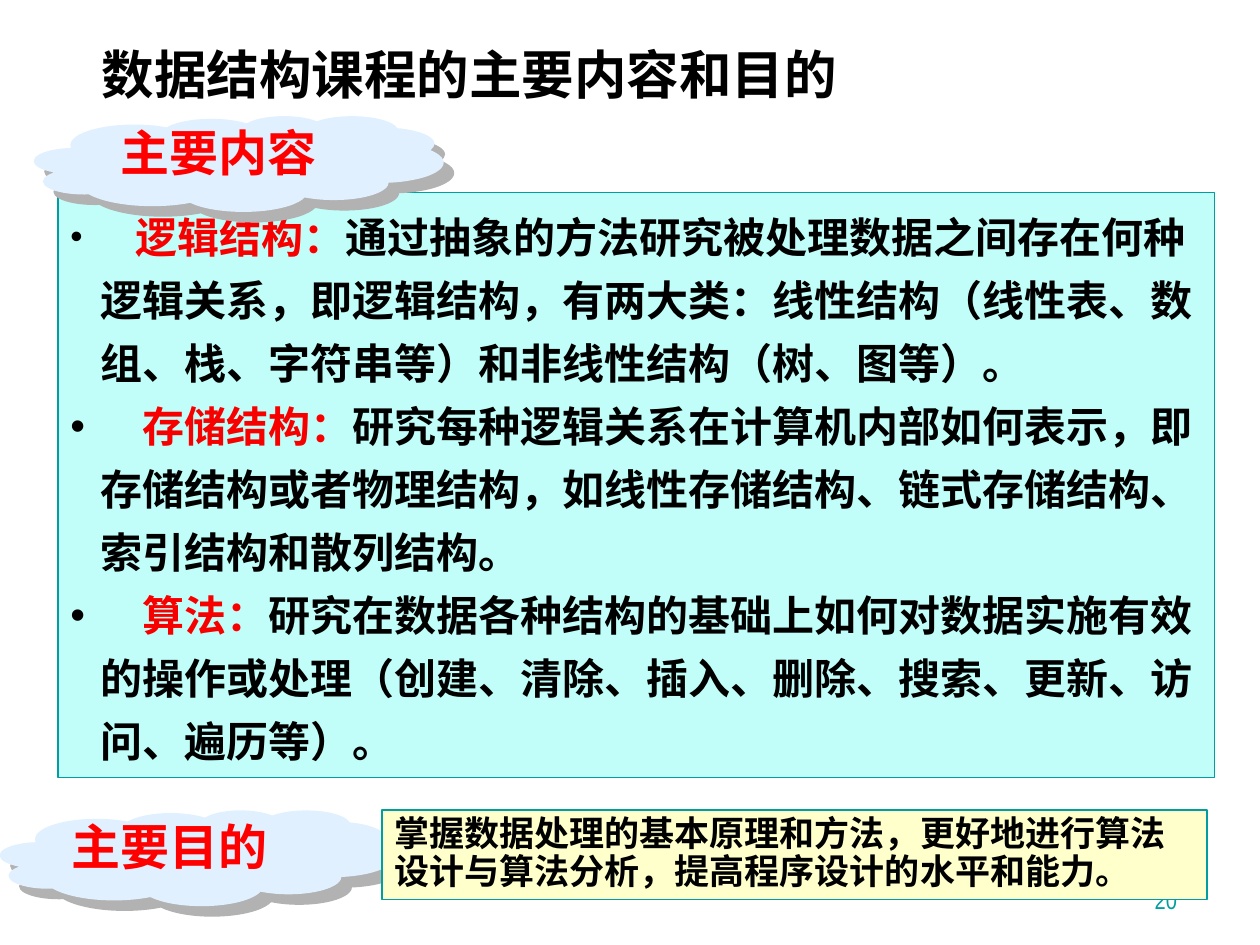
from dataclasses import dataclass

from lxml.etree import SubElement
from pptx import Presentation
from pptx.dml.color import RGBColor
from pptx.enum.shapes import MSO_SHAPE
from pptx.enum.text import MSO_ANCHOR, PP_ALIGN
from pptx.oxml.ns import qn
from pptx.util import Inches, Pt

CJK = "Noto Sans CJK SC"
TEAL, RED, BLACK = "009EA1", "F60000", "000000"


@dataclass
class Box:
    left: float
    top: float
    width: float
    height: float

    def lengths(self):
        return [Inches(v) for v in (self.left, self.top, self.width, self.height)]


@dataclass
class Style:
    size: float
    color: str = BLACK
    font: str = "Arial"
    bold: bool = True


@dataclass
class Label:
    text: str
    cloud: Box
    box: Box


@dataclass
class Topic:
    name: str
    detail: str
    indent_size: float = 24


LABELS = [
    Label("主要内容", Box(0.27, 0.92, 3.25, 0.76), Box(0.86, 0.92, 2.44, 0.57)),
    Label("主要目的", Box(0, 6.43, 3.13, 0.76), Box(0.47, 6.43, 2.44, 0.57)),
]
TOPICS = [
    Topic("逻辑结构：", "通过抽象的方法研究被处理数据之间存在何种逻辑关系，即逻辑结构，"
          "有两大类：线性结构（线性表、数组、栈、字符串等）和非线性结构（树、图等）。", 20),
    Topic("存储结构：", "研究每种逻辑关系在计算机内部如何表示，即存储结构或者物理结构，"
          "如线性存储结构、链式存储结构、索引结构和散列结构。"),
    Topic("算法：", "研究在数据各种结构的基础上如何对数据实施有效的操作或处理"
          "（创建、清除、插入、删除、搜索、更新、访问、遍历等）。"),
]


def rgb(value: str) -> RGBColor:
    return RGBColor.from_string(value)


def add_run(p, text: str, style: Style) -> None:
    r = p.add_run()
    r.text = text
    r.font.size = Pt(style.size)
    r.font.bold = style.bold
    r.font.name = style.font
    r.font.color.rgb = rgb(style.color)
    SubElement(r._r.get_or_add_rPr(), qn("a:ea"), typeface=CJK)


def add_text(s, box: Box, text: str, style: Style, anchor=MSO_ANCHOR.TOP,
             align=PP_ALIGN.LEFT, spacing: float = 1.0) -> None:
    tf = s.shapes.add_textbox(*box.lengths()).text_frame
    tf.word_wrap = True
    tf.vertical_anchor = anchor
    p = tf.paragraphs[0]
    p.alignment = align
    p.line_spacing = spacing
    add_run(p, text, style)


def add_panel(s, box: Box, fill: str, line_width: float):
    sp = s.shapes.add_shape(MSO_SHAPE.RECTANGLE, *box.lengths())
    sp.shadow.inherit = False
    sp.fill.solid()
    sp.fill.fore_color.rgb = rgb(fill)
    sp.line.color.rgb = rgb(TEAL)
    sp.line.width = Pt(line_width)
    tf = sp.text_frame
    tf.word_wrap = True
    tf.vertical_anchor = MSO_ANCHOR.TOP
    return tf


def add_label(s, label: Label) -> None:
    sp = s.shapes.add_shape(MSO_SHAPE.CLOUD, *label.cloud.lengths())
    sp.fill.solid()
    sp.fill.fore_color.rgb = rgb("E1F0FF")
    sp.line.fill.background()
    sp.shadow.inherit = False
    effects = sp._element.spPr.find(qn("a:effectLst"))
    shadow = SubElement(effects, qn("a:outerShdw"), dist=str(Pt(8.5)),
                        dir=str(45 * 60000), algn="ctr", rotWithShape="0")
    SubElement(shadow, qn("a:srgbClr"), val="B2B2B2")
    add_text(s, label.box, label.text, Style(28, "FF0000"))


def add_topic(p, topic: Topic) -> None:
    p.alignment = PP_ALIGN.LEFT
    p.line_spacing = 1.25
    pPr = p._p.get_or_add_pPr()
    pPr.set("marL", str(Inches(0.24)))
    pPr.set("indent", str(-Inches(0.24)))
    SubElement(pPr, qn("a:buFont"), typeface="Arial")
    SubElement(pPr, qn("a:buChar"), char="•")
    add_run(p, "　", Style(topic.indent_size))
    add_run(p, topic.name, Style(24, RED))
    add_run(p, topic.detail, Style(24))


def main() -> None:
    prs = Presentation()
    prs.slide_width, prs.slide_height = Inches(10), Inches(7.5)
    s = prs.slides.add_slide(prs.slide_layouts[6])

    add_text(s, Box(0.71, 0.17, 8.96, 0.92), "数据结构课程的主要内容和目的",
             Style(30, font="Arial Narrow"), MSO_ANCHOR.MIDDLE, spacing=0.8)
    add_text(s, Box(7.36, 6.81, 2.08, 0.5), "20",
             Style(14, TEAL, "Arial Narrow", False), MSO_ANCHOR.BOTTOM, PP_ALIGN.RIGHT)

    tf = add_panel(s, Box(0.46, 1.53, 9.18, 4.64), "C1FEF9", 0.75)
    for i, topic in enumerate(TOPICS):
        add_topic(tf.add_paragraph() if i else tf.paragraphs[0], topic)

    for label in LABELS:
        add_label(s, label)

    p = add_panel(s, Box(3.03, 6.43, 6.55, 0.71), "FFFFCC", 1).paragraphs[0]
    p.alignment = PP_ALIGN.LEFT
    p.line_spacing = 0.9
    add_run(p, "掌握数据处理的基本原理和方法，更好地进行算法设计与算法分析，"
            "提高程序设计的水平和能力。", Style(20, font=CJK))

    prs.save("out.pptx")


if __name__ == "__main__":
    main()
